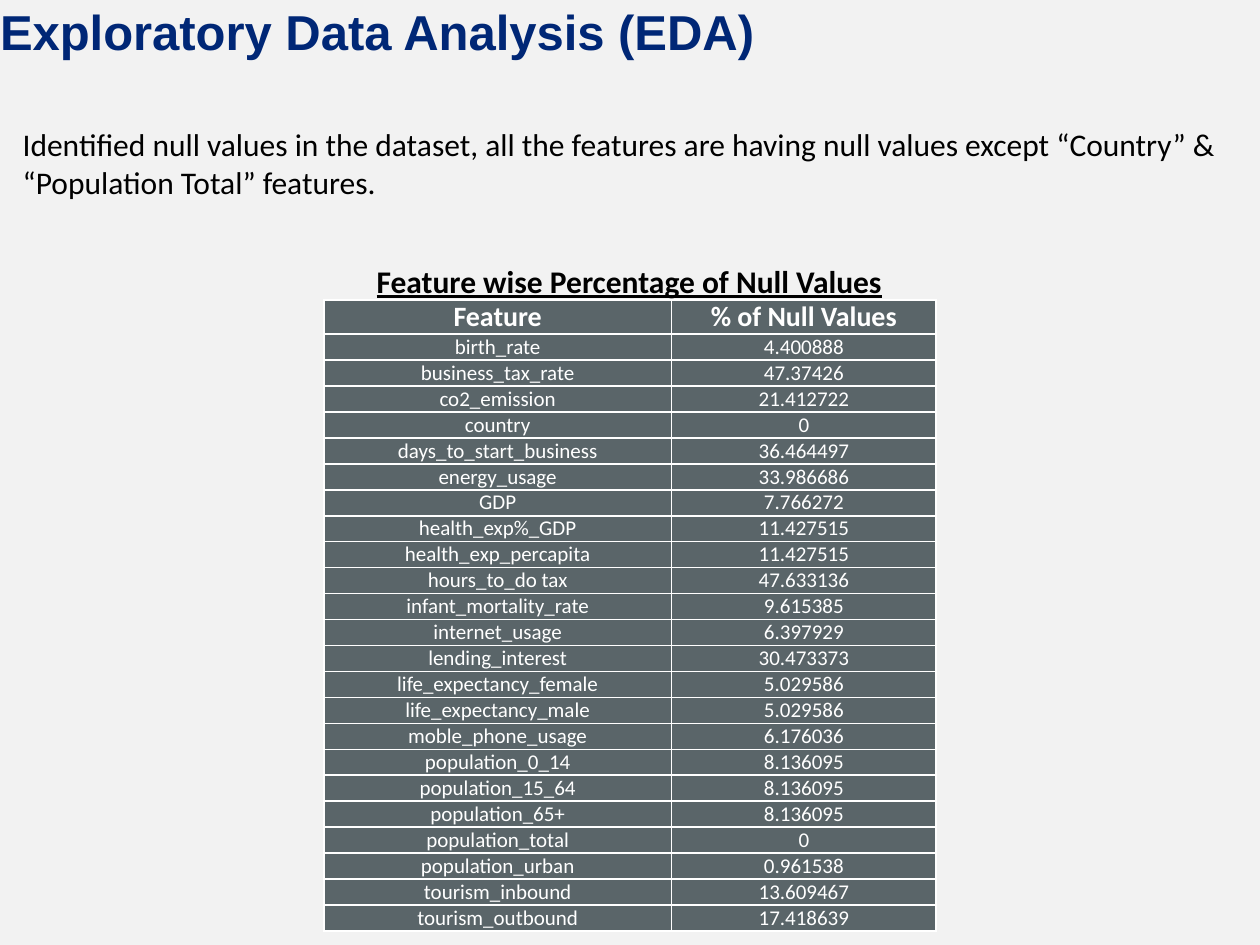
from lxml import etree
from pptx import Presentation
from pptx.dml.color import RGBColor
from pptx.enum.text import MSO_ANCHOR as Anchor, MSO_AUTO_SIZE as AutoSize, PP_ALIGN as Align
from pptx.oxml.ns import qn
from pptx.util import Inches, Pt

BACKGROUND = RGBColor(0xF2, 0xF2, 0xF2)
NAVY = RGBColor(0x00, 0x27, 0x76)
BLACK = RGBColor(0x00, 0x00, 0x00)
WHITE = RGBColor(0xFF, 0xFF, 0xFF)
SLATE = RGBColor(0x5A, 0x65, 0x69)

HEADER = ("Feature", "% of Null Values")
NULL_PERCENTAGES = [
    ("birth_rate", "4.400888"),
    ("business_tax_rate", "47.37426"),
    ("co2_emission", "21.412722"),
    ("country", "0"),
    ("days_to_start_business", "36.464497"),
    ("energy_usage", "33.986686"),
    ("GDP", "7.766272"),
    ("health_exp%_GDP", "11.427515"),
    ("health_exp_percapita", "11.427515"),
    ("hours_to_do tax", "47.633136"),
    ("infant_mortality_rate", "9.615385"),
    ("internet_usage", "6.397929"),
    ("lending_interest", "30.473373"),
    ("life_expectancy_female", "5.029586"),
    ("life_expectancy_male", "5.029586"),
    ("moble_phone_usage", "6.176036"),
    ("population_0_14", "8.136095"),
    ("population_15_64", "8.136095"),
    ("population_65+", "8.136095"),
    ("population_total", "0"),
    ("population_urban", "0.961538"),
    ("tourism_inbound", "13.609467"),
    ("tourism_outbound", "17.418639"),
]


def place(shape, box):
    shape.left, shape.top, shape.width, shape.height = box


def write(text_frame, text, size, color, font="Calibri", bold=False,
          underline=False, align=Align.LEFT):
    paragraph = text_frame.paragraphs[0]
    paragraph.alignment = align
    paragraph.space_before = Pt(0)
    run = paragraph.add_run()
    run.text = text
    run.font.name = font
    run.font.size = Pt(size)
    run.font.bold = bold
    run.font.underline = underline
    run.font.color.rgb = color
    return paragraph


def add_title(slide, box):
    title = slide.shapes.title
    place(title, box)
    frame = title.text_frame
    frame.auto_size = AutoSize.NONE
    frame.vertical_anchor = Anchor.TOP
    frame.margin_left = frame.margin_top = frame.margin_right = frame.margin_bottom = 0
    write(frame, "Exploratory Data Analysis (EDA)", 28, NAVY, font="Arial", bold=True)


def add_finding(slide, box):
    body = slide.placeholders[1]
    place(body, box)
    body.text_frame.auto_size = AutoSize.NONE
    paragraph = write(
        body.text_frame,
        "Identified null values in the dataset, all the features are having null values "
        "except “Country” & “Population Total” features.",
        18, BLACK)
    properties = paragraph._p.get_or_add_pPr()
    properties.set("marL", "0")
    properties.set("indent", "0")
    etree.SubElement(properties, qn("a:buNone"))


def set_borders(cell, color, width):
    properties = cell._tc.get_or_add_tcPr()
    for index, side in enumerate(("a:lnL", "a:lnR", "a:lnT", "a:lnB")):
        line = etree.Element(qn(side), w=str(width))
        fill = etree.SubElement(line, qn("a:solidFill"))
        etree.SubElement(fill, qn("a:srgbClr"), val=str(color))
        properties.insert(index, line)


def fill_cell(cell, text, size, bold):
    """Vertical margins stay at zero so that the text fits the row height."""
    cell.margin_left = cell.margin_right = Inches(0.01)
    cell.margin_top = cell.margin_bottom = 0
    cell.vertical_anchor = Anchor.MIDDLE
    cell.fill.solid()
    cell.fill.fore_color.rgb = SLATE
    set_borders(cell, WHITE, Pt(1))
    write(cell.text_frame, text, size, WHITE, bold=bold, align=Align.CENTER)


def add_null_table(slide, box):
    rows = [HEADER, *NULL_PERCENTAGES]
    table = slide.shapes.add_table(len(rows), len(HEADER), *box).table
    width, height = box[2:]
    table.columns[0].width = Inches(2.76)
    table.columns[1].width = width - Inches(2.76)
    header_height = Inches(0.27)
    row_height = (height - header_height) // len(NULL_PERCENTAGES)
    for row_index, values in enumerate(rows):
        is_header = row_index == 0
        table.rows[row_index].height = header_height if is_header else row_height
        for column_index, value in enumerate(values):
            fill_cell(table.cell(row_index, column_index), value,
                      16 if is_header else 12, is_header)


def add_table_caption(slide, box):
    frame = slide.shapes.add_textbox(*box).text_frame
    frame.word_wrap = True
    write(frame, "Feature wise Percentage of Null Values", 18, BLACK,
          bold=True, underline=True, align=Align.CENTER)


def main():
    presentation = Presentation()
    presentation.slide_width = Inches(10)
    presentation.slide_height = Inches(7.5)
    slide = presentation.slides.add_slide(presentation.slide_layouts[1])
    slide.background.fill.solid()
    slide.background.fill.fore_color.rgb = BACKGROUND

    add_title(slide, (0, Inches(0.01), Inches(9.3), Inches(0.94)))
    add_finding(slide, (Inches(0.08), Inches(0.94), Inches(9.72), Inches(0.71)))
    add_null_table(slide, (Inches(2.57), Inches(2.38), Inches(4.86), Inches(5.01)))
    add_table_caption(slide, (Inches(2.52), Inches(2.03), Inches(4.95), Inches(0.34)))
    presentation.save("out.pptx")


if __name__ == "__main__":
    main()
